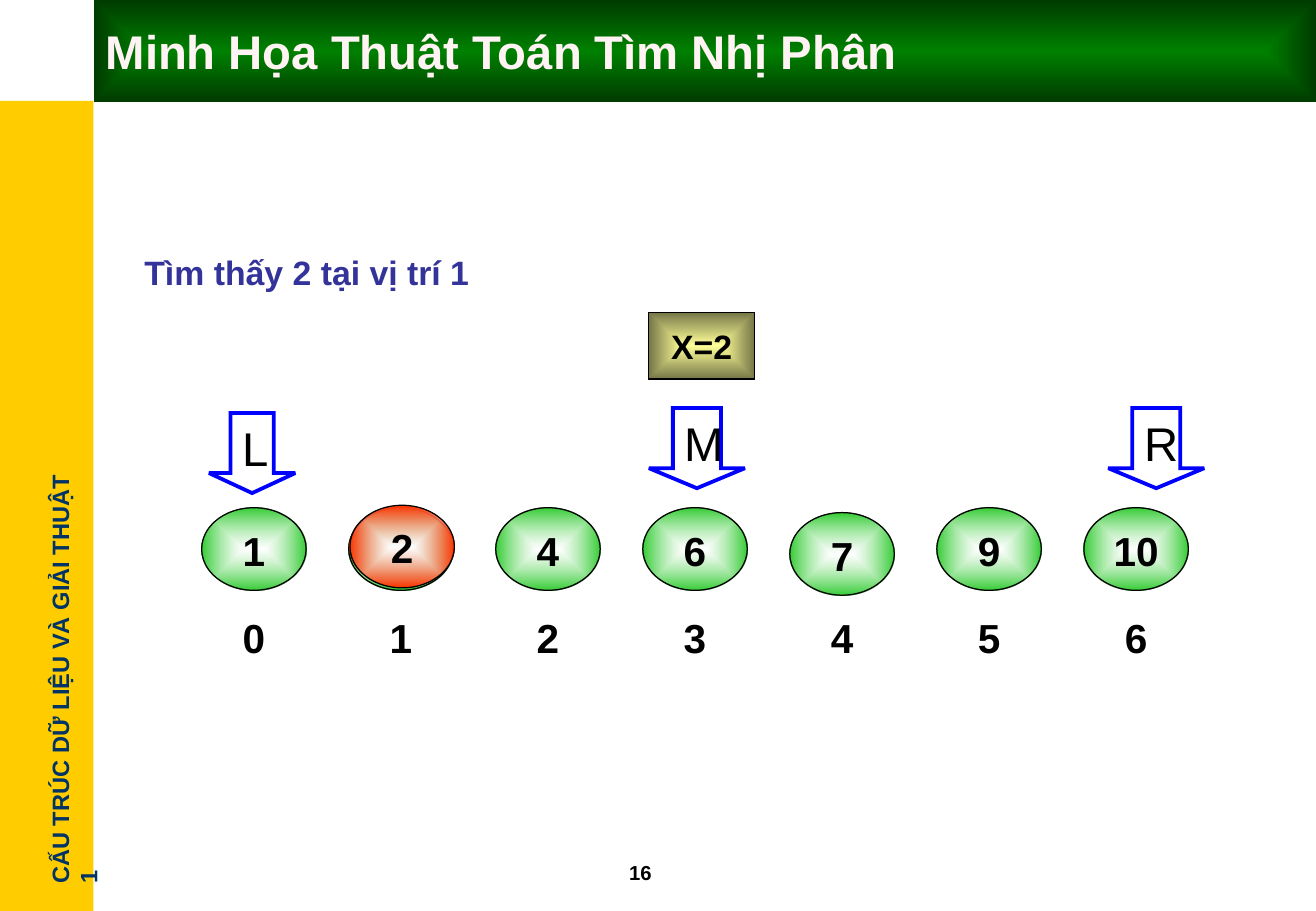
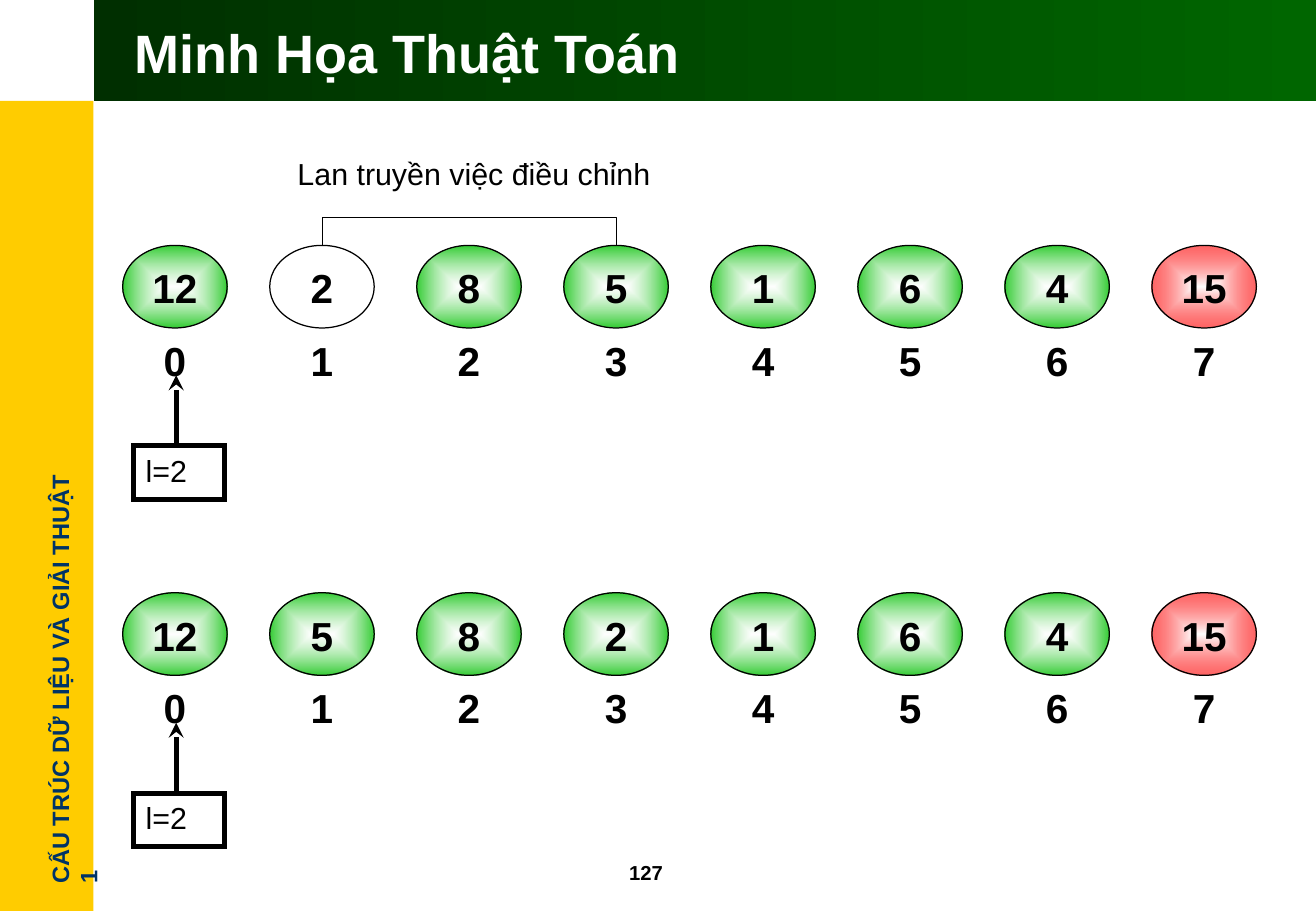
"""Two lecture slides: binary search found, and heap adjustment spreading."""
from lxml import etree
from pptx import Presentation
from pptx import util as u
from pptx.dml.color import RGBColor
from pptx.enum import shapes, text
from pptx.oxml.ns import qn

COLORS = {
    "black": "000000", "white": "FFFFFF", "side": "FFCC00", "course": "003366",
    "band dark": "002F00", "band light": "006600", "title mid": "008000",
    "title edge": "003B00", "title pink": "FFF3F3", "node": "33CC33",
    "found": "FF3300", "sorted": "FF0000", "key": "FFFF99", "key edge": "767647",
    "pointer": "0000FF", "result": "333399",
}
GREEN = [("white", 60), ("node", 100)]
ORANGE = [("white", 60), ("found", 100)]
RED = [("white", 100), ("sorted", 60)]
WIDTH, HEIGHT = 10.83, 7.5
SIDE, BAND = 0.77, 0.83
STEP, NODE_W, NODE_H, INDEX_H = 1.21, 0.86, 0.68, 0.66
INDEX_DROP = 0.6
OVAL = shapes.MSO_SHAPE.OVAL
RECT = shapes.MSO_SHAPE.RECTANGLE
DOWN = shapes.MSO_SHAPE.DOWN_ARROW
CENTER, LEFT = text.PP_ALIGN.CENTER, text.PP_ALIGN.LEFT
TOP, MIDDLE = text.MSO_ANCHOR.TOP, text.MSO_ANCHOR.MIDDLE


def shade(part, stops, linear=False):
    """Fill a shape with two colours, from the centre out or left to right."""
    part.fill.gradient()
    part.fill.gradient_angle = 0
    grad = part._element.spPr.find(qn("a:gradFill"))
    for stop, (name, opacity) in zip(part.fill.gradient_stops, stops):
        stop.color.rgb = RGBColor.from_string(COLORS[name])
    for rgb, (name, opacity) in zip(grad.iter(qn("a:srgbClr")), stops):
        if opacity < 100:
            etree.SubElement(rgb, qn("a:alpha"), val=str(opacity * 1000))
    if not linear:
        grad.remove(grad.find(qn("a:lin")))
        route = etree.SubElement(grad, qn("a:path"), path="shape")
        etree.SubElement(route, qn("a:fillToRect"), l="50000", t="50000", r="50000", b="50000")


def add(slide, kind, box, words="", size=24, bold=True, color="black", align=CENTER,
        anchor=TOP, fill=None, line=None, wrap=True):
    """Add a shape, or a text box if kind is None, with one paragraph."""
    place = [u.Inches(length) for length in box]
    if kind is None:
        part = slide.shapes.add_textbox(*place)
    else:
        part = slide.shapes.add_shape(kind, *place)
        part.shadow.inherit = False
        if isinstance(fill, list):
            shade(part, fill)
        elif fill:
            part.fill.solid()
            part.fill.fore_color.rgb = RGBColor.from_string(COLORS[fill])
        else:
            part.fill.background()
        if line:
            part.line.color.rgb = RGBColor.from_string(COLORS[line[0]])
            part.line.width = u.Pt(line[1])
            etree.SubElement(part.line._get_or_add_ln(), qn("a:miter"), lim="800000")
        else:
            part.line.fill.background()
    frame = part.text_frame
    frame.word_wrap = wrap
    frame.vertical_anchor = anchor
    if words:
        paragraph = frame.paragraphs[0]
        paragraph.text = words
        paragraph.alignment = align
        paragraph.font.name = "Arial"
        paragraph.font.size = u.Pt(size)
        paragraph.font.bold = bold
        paragraph.font.color.rgb = RGBColor.from_string(COLORS[color])
    return part


deck = Presentation()
deck.slide_width, deck.slide_height = u.Inches(WIDTH), u.Inches(HEIGHT)

pages = []
for heading, size, color, box, number in (
    ("Minh Họa Thuật Toán Tìm Nhị Phân", 28, "title pink", (SIDE, 0, WIDTH - SIDE, 0.84), "16"),
    ("Minh Họa Thuật Toán", 32, "white", (1.01, 0.09, 9.61, 0.67), "127"),
):
    page = deck.slides.add_slide(deck.slide_layouts[5])
    pages.append(page)
    add(page, RECT, (0, BAND, SIDE, HEIGHT - BAND), fill="side")
    course = add(page, None, (-1.37, 5.35, 3.72, 0.33), "CẤU TRÚC DỮ LIỆU VÀ GIẢI THUẬT 1",
                 14, color="course", align=LEFT)
    course.rotation = 270
    band = add(page, RECT, (SIDE, 0, WIDTH - SIDE, BAND))
    shade(band, [("band dark", 100), ("band light", 100)], linear=True)
    add(page, None, (5.08, 7.03, 0.83, 0.3), number, 12, align=LEFT)

    title = page.shapes.title
    page.shapes._spTree.append(title._element)
    title.left, title.top, title.width, title.height = [u.Inches(length) for length in box]
    title.text_frame.text = heading
    title.text_frame.auto_size = text.MSO_AUTO_SIZE.NONE
    title.text_frame.vertical_anchor = MIDDLE
    paragraph = title.text_frame.paragraphs[0]
    paragraph.alignment = LEFT
    paragraph.font.name = "Arial"
    paragraph.font.size = u.Pt(size)
    paragraph.font.bold = True
    paragraph.font.color.rgb = RGBColor.from_string(COLORS[color])

search, heap = pages

shade(search.shapes.title, [("title mid", 100), ("title edge", 100)])
add(search, None, (1.09, 2.02, 3.37, 0.43), "Tìm thấy 2 tại vị trí 1", 20, color="result", align=LEFT)
add(search, RECT, (5.34, 2.57, 0.87, 0.55), "X=2", 20, anchor=MIDDLE,
    fill=[("key", 100), ("key edge", 100)], line=("black", 0.75), wrap=False)
for index, value in enumerate(("1", "", "4", "6", "7", "9", "10")):
    left = 1.66 + index * STEP
    top = 4.22 if value == "7" else 4.18
    add(search, OVAL, (left, top, NODE_W, NODE_H), value, fill=GREEN, line=("black", 0.75))
    add(search, OVAL, (left, 4.9, NODE_W, INDEX_H), str(index))
add(search, OVAL, (2.88, 4.16, NODE_W, NODE_H), "2", fill=ORANGE, line=("black", 0.75))
for pointer, left, top, width in (("L", 1.72, 3.4, 0.71), ("M", 5.34, 3.36, 0.79), ("R", 9.12, 3.36, 0.79)):
    arrow = add(search, DOWN, (left, top, width, 0.66), pointer, 28, bold=False,
                align=LEFT, line=("pointer", 2.25))
    arrow.adjustments[0], arrow.adjustments[1] = 0.5, 0.25

add(heap, None, (2.35, 1.23, 3.4, 0.4), "Lan truyền việc điều chỉnh", 18, bold=False, align=LEFT)
links, rows = [], []
for top, values in ((2.02, (12, 2, 8, 5, 1, 6, 4, 15)), (4.88, (12, 5, 8, 2, 1, 6, 4, 15))):
    nodes = []
    for index, value in enumerate(values):
        left = 1.01 + index * STEP
        fill = RED if value == 15 else "white" if (top, index) == (2.02, 1) else GREEN
        nodes.append(add(heap, OVAL, (left, top, NODE_W, NODE_H), str(value),
                         fill=fill, line=("black", 0.75)))
        add(heap, OVAL, (left, top + INDEX_DROP, NODE_W, INDEX_H), str(index))
    rows.append(nodes)
    add(heap, RECT, (1.1, top + 1.65, 0.75, 0.44), "l=2", 18, bold=False, align=LEFT, line=("black", 3))
    marker = heap.shapes.add_connector(shapes.MSO_CONNECTOR.STRAIGHT, u.Inches(1.45), u.Inches(top + 1.65),
                                       u.Inches(1.45), u.Inches(top + 1.07))
    links.append((marker, 3))

swap = heap.shapes.add_connector(shapes.MSO_CONNECTOR.ELBOW, 0, 0, 0, 0)
swap.begin_connect(rows[0][1], 0)
swap.end_connect(rows[0][3], 0)
swap.left, swap.top = u.Inches(3.86), u.Inches(0.81)
swap.width, swap.height = u.Inches(0.01), u.Inches(2 * STEP)
frame = swap._element.spPr.find(qn("a:xfrm"))
frame.attrib.pop("flipH", None)
frame.set("rot", "5400000")
frame.set("flipV", "1")
bends = swap._element.spPr.find(qn("a:prstGeom")).find(qn("a:avLst"))
etree.SubElement(bends, qn("a:gd"), name="adj1", fmla="val -2300000")
links.append((swap, 0.75))

for link, weight in links:
    link.line.color.rgb = RGBColor.from_string(COLORS["black"])
    link.line.width = u.Pt(weight)
    if link is not swap:
        etree.SubElement(link.line._get_or_add_ln(), qn("a:tailEnd"), type="stealth")
    etree.SubElement(link._element.spPr, qn("a:effectLst"))

deck.save("out.pptx")
